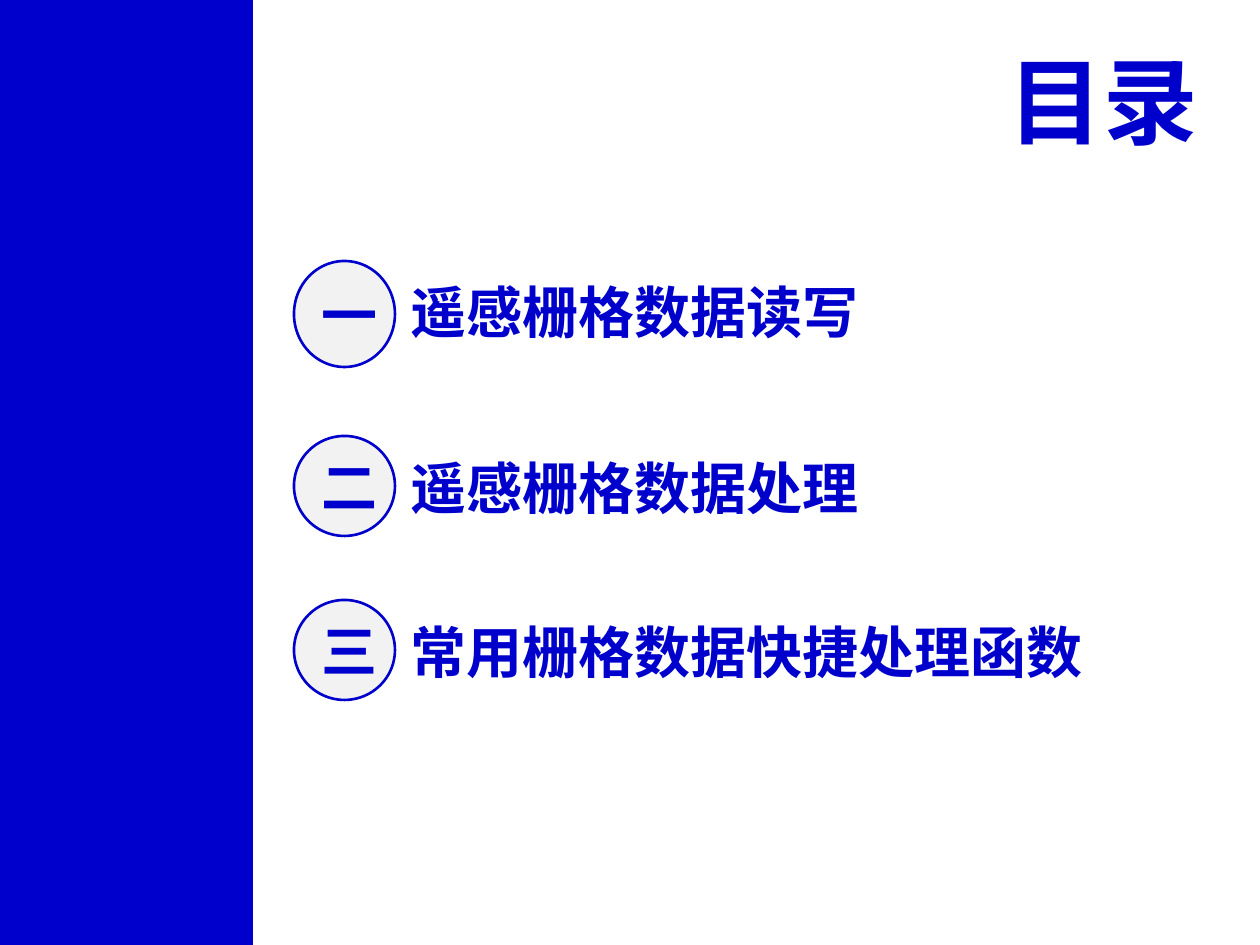
from lxml.etree import SubElement
from pptx import Presentation
from pptx.dml.color import RGBColor
from pptx.enum.shapes import MSO_SHAPE
from pptx.enum.text import MSO_ANCHOR, PP_ALIGN
from pptx.oxml.ns import qn
from pptx.util import Pt

TITLE = "目录"
ENTRIES = [
    ("一", "遥感栅格数据读写", 261, 106, 271, 743),
    ("二", "遥感栅格数据处理", 436, 100, 447, 688),
    ("三", "常用栅格数据快捷处理函数", 600, 100, 611, 703),
]
BLUE, GRAY = "0000CC", "F2F2F2"
LATIN, CHINESE = "Arial", "Noto Sans CJK SC"
SCALE = 914400 // 126


def px(*lengths):
    return [length * SCALE for length in lengths]


def color(value):
    return RGBColor.from_string(value)


def write(box, text, size, font, align, anchor, wrap=True):
    frame = box.text_frame
    frame.word_wrap = wrap
    frame.vertical_anchor = anchor
    para = frame.paragraphs[0]
    para.alignment = align
    span = para.add_run()
    span.text = text
    span.font.size = Pt(size)
    span.font.bold = True
    span.font.name = font
    span.font.color.rgb = color(BLUE)
    SubElement(span.font._element, qn("a:ea"), typeface=CHINESE)


def add_filled(shapes, kind, place, fill):
    shape = shapes.add_shape(kind, *px(*place))
    shape.shadow.inherit = False
    shape.fill.solid()
    shape.fill.fore_color.rgb = color(fill)
    shape.line.color.rgb = color(BLUE)
    shape.line.width = Pt(1.5)
    return shape


def add_entry(page, number, label, top, height, label_top, label_width):
    shapes = page.shapes.add_group_shape().shapes
    badge = add_filled(shapes, MSO_SHAPE.OVAL, (294, top, 101, height), GRAY)
    write(badge, number, 32, CHINESE, PP_ALIGN.CENTER, MSO_ANCHOR.MIDDLE)
    box = shapes.add_textbox(*px(398, label_top, label_width, 81))
    write(box, label, 32, LATIN, PP_ALIGN.LEFT, MSO_ANCHOR.MIDDLE)


def main():
    deck = Presentation()
    deck.slide_width, deck.slide_height = px(1260, 945)
    page = deck.slides.add_slide(deck.slide_layouts[6])
    band = add_filled(page.shapes, MSO_SHAPE.RECTANGLE, (0, 0, 253, 945), BLUE)
    band.line.fill.background()
    title = page.shapes.add_textbox(*px(988, 37, 222, 127))
    write(title, TITLE, 54, LATIN, PP_ALIGN.RIGHT, MSO_ANCHOR.TOP, wrap=False)
    for entry in ENTRIES:
        add_entry(page, *entry)
    deck.save("out.pptx")


if __name__ == "__main__":
    main()
